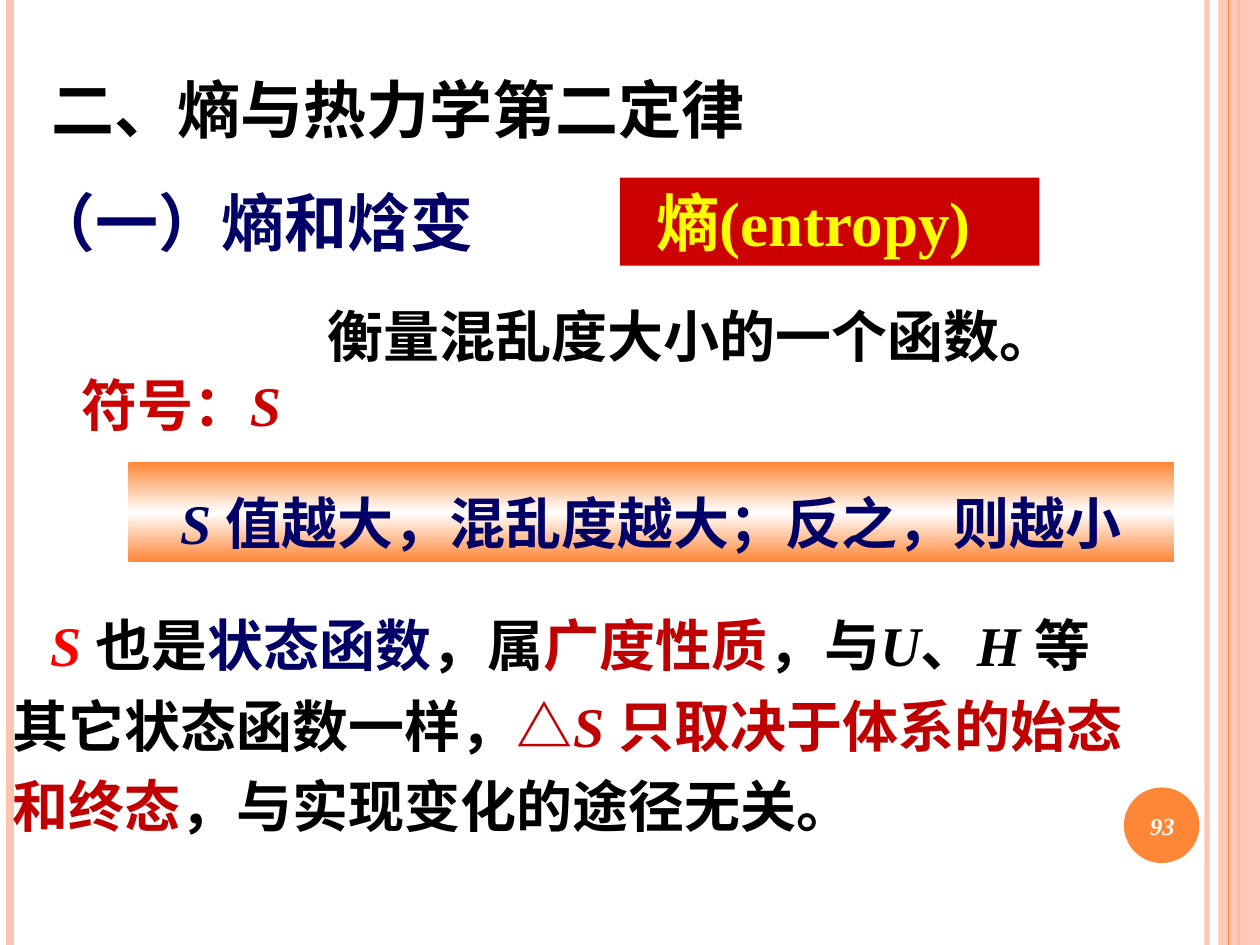
"""Builds a slide on entropy and the second law of thermodynamics."""
from lxml import etree
from copy import deepcopy
from pptx import Presentation
from pptx.dml.color import RGBColor
from pptx.enum import shapes, text
from pptx.oxml import ns
from pptx.util import Inches, Pt

CJK, LATIN = "Noto Sans CJK SC", "Times New Roman"
BLACK, NAVY, RED, CRIMSON = "000000", "000066", "CC0000", "C00000"
ORANGE, PEACH, WHITE = "FE8637", "FEC3AE", "FFFFFF"
rgb = RGBColor.from_string


def write(shape, size, runs, align=None, spacing=None):
    frame = shape.text_frame
    frame.word_wrap = True
    frame.vertical_anchor = text.MSO_ANCHOR.TOP
    paragraph = frame.paragraphs[0]
    paragraph.alignment = align or text.PP_ALIGN.LEFT
    paragraph.line_spacing = spacing
    for words, face, color, italic in runs:
        run = paragraph.add_run()
        run.text = words
        font = run.font
        font.name, font.size, font.bold, font.italic = face, Pt(size), True, italic
        font.color.rgb = rgb(color)
        east_asian = etree.SubElement(run._r.get_or_add_rPr(), ns.qn("a:ea"))
        east_asian.set("typeface", CJK)
    return paragraph


def add_block(kind, left, top, width, height, color):
    block = slide.shapes.add_shape(
        kind, Inches(left), Inches(top), Inches(width), Inches(height))
    block.shadow.inherit = False
    block.fill.solid()
    block.fill.fore_color.rgb = rgb(color)
    block.line.fill.background()
    return block


deck = Presentation()
deck.slide_width, deck.slide_height = Inches(10), Inches(7.5)
slide = deck.slides.add_slide(deck.slide_layouts[6])
RECT = shapes.MSO_SHAPE.RECTANGLE
CENTER = text.PP_ALIGN.CENTER

stripes = {}
for x, color, weight in [(9.58, PEACH, 3), (0.08, PEACH, 4.5),
                         (9.83, ORANGE, 1.5), (9.75, ORANGE, 0.75)]:
    if x == 9.75:
        band = add_block(RECT, 9.67, 0, 0.33, 7.5, PEACH)
    stripe = slide.shapes.add_connector(
        shapes.MSO_CONNECTOR.STRAIGHT, Inches(x), 0, Inches(x), Inches(7.5))
    stripe.line.color.rgb = rgb(color)
    stripe.line.width = Pt(weight)
    etree.SubElement(stripe._element.spPr, ns.qn("a:effectLst"))
    stripes[x] = stripe
for translucent, percent in [(stripes[9.58], 93), (band, 87)]:
    tint = next(translucent._element.spPr.iter(ns.qn("a:srgbClr")))
    etree.SubElement(tint, ns.qn("a:alpha")).set("val", str(percent * 1000))

add_block(shapes.MSO_SHAPE.OVAL, 8.92, 6.25, 0.6, 0.6, ORANGE)

entropy = add_block(RECT, 4.92, 1.41, 3.33, 0.7, RED)
entropy.text_frame.margin_right = Inches(0.35)
write(entropy, 36, [("熵", CJK, "FFFF00", False),
                    ("(entropy)", LATIN, "FFFF00", False)], CENTER)

disorder = add_block(RECT, 1.02, 3.67, 8.3, 0.79, ORANGE)
disorder.fill.gradient()
disorder.fill.gradient_angle = 90
stop_list = next(disorder._element.spPr.iter(ns.qn("a:gsLst")))
stop_list.insert(1, deepcopy(stop_list[0]))
for stop, position, color in zip(disorder.fill.gradient_stops, (0, 0.5, 1),
                                 (ORANGE, WHITE, ORANGE)):
    stop.position = position
    stop.color.rgb = rgb(color)
write(disorder, 32, [("S ", LATIN, NAVY, True),
                     ("值越大，混乱度越大；反之，则越小", CJK, NAVY, False)], CENTER, 1.3)

state_function = [
    ("S ", LATIN, "FF0000", True), ("也是", CJK, BLACK, False),
    ("状态函数", CJK, NAVY, False), ("，属", CJK, BLACK, False),
    ("广度性质", CJK, CRIMSON, False), ("，与", CJK, BLACK, False),
    ("U", LATIN, BLACK, True), ("、", LATIN, BLACK, False),
    ("H ", LATIN, BLACK, True), ("等其它状态函数一样，", CJK, BLACK, False),
    ("△", LATIN, CRIMSON, False), ("S ", LATIN, CRIMSON, True),
    ("只取决于体系的始态和终态", CJK, CRIMSON, False),
    ("，与实现变化的途径无关。", CJK, BLACK, False)]

passages = [
    (0.31, 0.39, 6.09, 0.83, 36, [("二、熵与热力学第二定律", "Arial", BLACK, False)], None, 1.2),
    (0.16, 1.41, 3.75, 0.71, 36, [("（一）熵和焓变", "Arial", NAVY, False)], None, None),
    (0.55, 2.89, 3.08, 0.63, 32, [("符号：", CJK, RED, False), ("S", LATIN, RED, True)], None, None),
    (2.5, 2.34, 6.13, 0.63, 32, [("衡量混乱度大小的一个函数。", CJK, BLACK, False)], None, None),
    (8.89, 6.27, 0.67, 0.57, 14, [("93", LATIN, WHITE, True)], CENTER, None),
    (0, 4.69, 9.17, 2.04, 32, state_function, None, 1.2)]
for left, top, width, height, size, runs, align, spacing in passages:
    passage = slide.shapes.add_textbox(
        Inches(left), Inches(top), Inches(width), Inches(height))
    paragraph = write(passage, size, runs, align, spacing)
    if size == 14:
        passage.text_frame.vertical_anchor = text.MSO_ANCHOR.MIDDLE
    if runs is state_function:
        paragraph._p.get_or_add_pPr().set("indent", str(Inches(0.3)))

deck.save("out.pptx")
